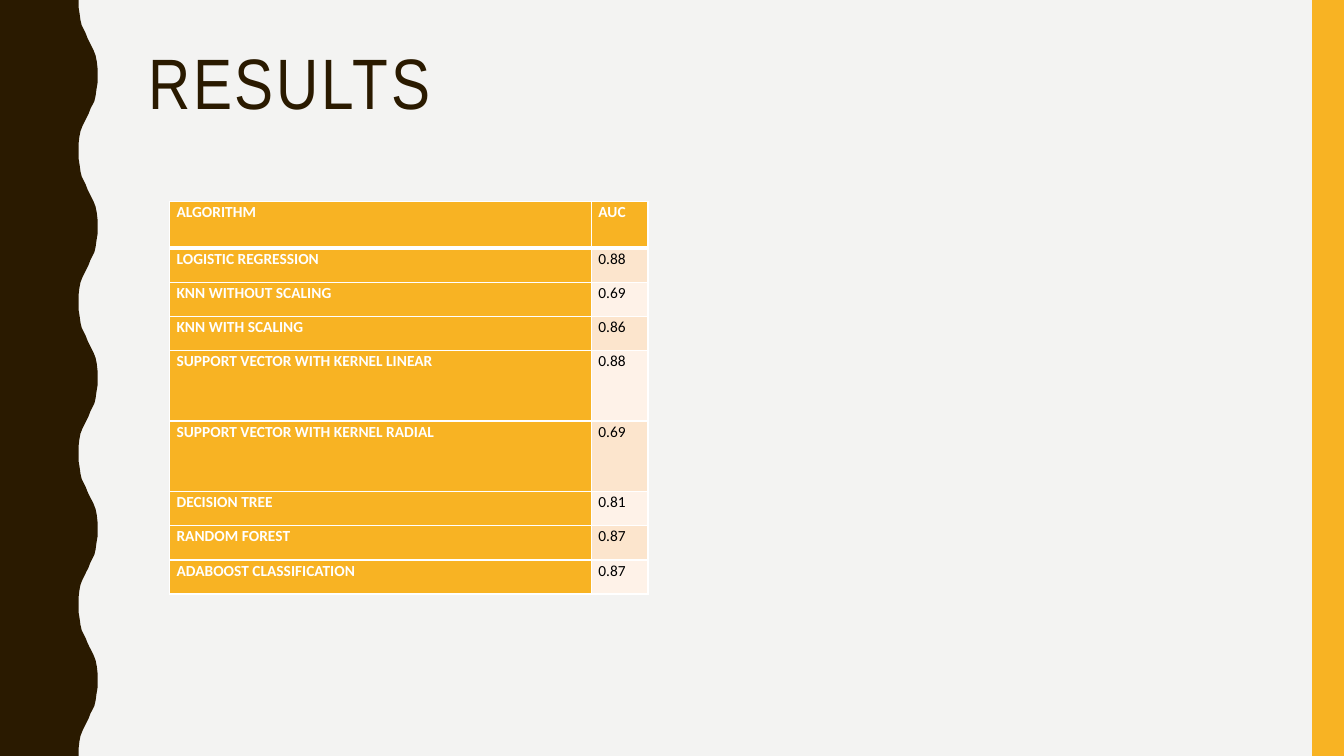
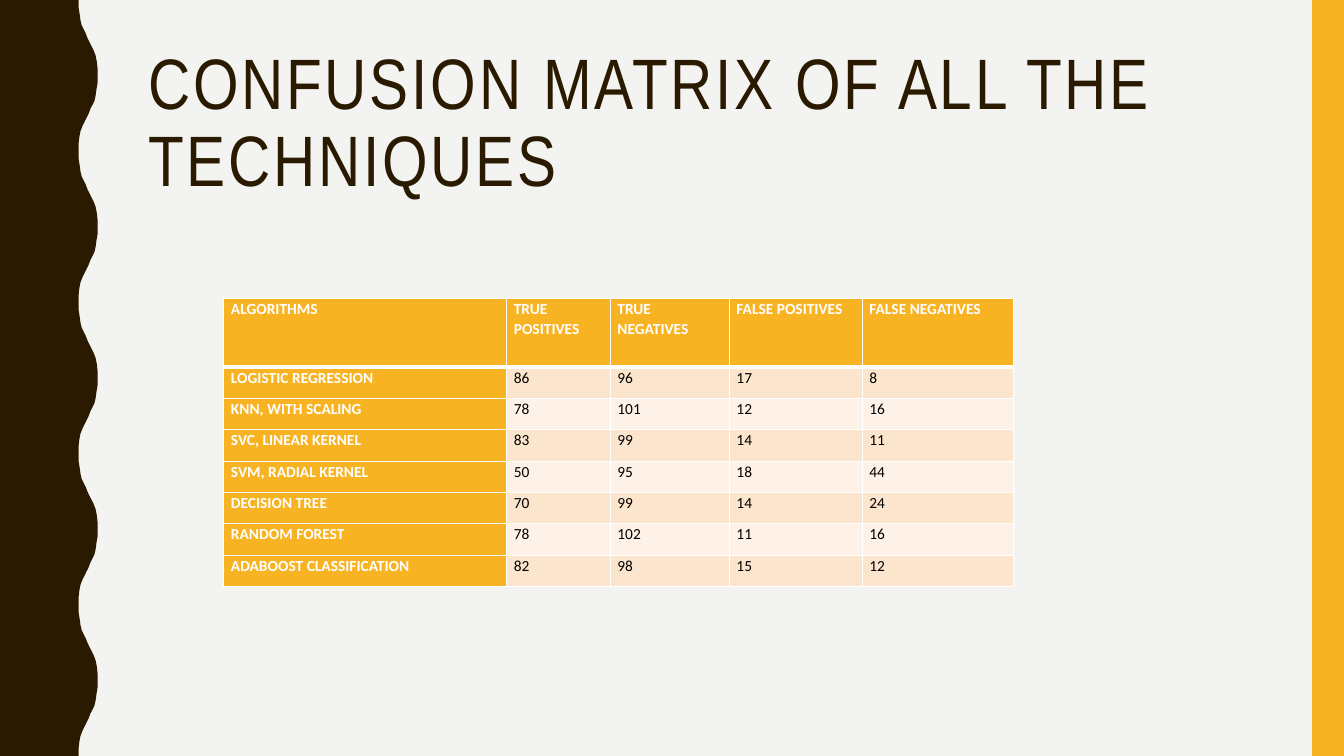
from pptx import Presentation
from pptx.dml.color import RGBColor
from pptx.enum import shapes, text
from pptx.oxml import parse_xml
from pptx.oxml.ns import nsdecls
from pptx.util import Cm, Pt

# Colours
BROWN = RGBColor(0x2A, 0x1A, 0x00)
AMBER = RGBColor(0xF8, 0xB3, 0x23)
PAPER = RGBColor(0xF3, 0xF3, 0xF2)
PEACH = RGBColor(0xFC, 0xE5, 0xCD)
CREAM = RGBColor(0xFE, 0xF2, 0xE8)
WHITE = RGBColor(0xFF, 0xFF, 0xFF)
BLACK = RGBColor(0x00, 0x00, 0x00)

# Text formats
TITLE_FONT = {"name": "Arial Narrow", "size": Pt(51), "bold": False}
CELL_FONT = {"name": "Calibri", "size": Pt(11)}

# Page and wavy edge, in cm
WIDTH, HEIGHT = 33.87, 19.05
BAND_WIDTH = 0.8
WAVES = 5
PERIOD = HEIGHT / WAVES
TROUGH, CREST = 1.98, 2.46
# Half a wave: steps right and down from a trough to the next crest
HALF_WAVE = [(0, 0.18), (0.03, 0.36), (0.05, 0.51), (0.08, 0.64), (0.13, 0.74),
             (0.18, 0.84), (0.23, 0.97), (0.28, 1.07), (0.33, 1.17),
             (0.38, 1.27), (0.43, 1.4), (0.46, 1.55), (0.48, 1.73),
             (0.48, PERIOD / 2)]

# Table contents
AUC_ROWS = [
    ("ALGORITHM", "AUC"),
    ("LOGISTIC REGRESSION", "0.88"),
    ("KNN WITHOUT SCALING", "0.69"),
    ("KNN WITH SCALING", "0.86"),
    ("SUPPORT VECTOR WITH KERNEL LINEAR", "0.88"),
    ("SUPPORT VECTOR WITH KERNEL RADIAL", "0.69"),
    ("DECISION TREE", "0.81"),
    ("RANDOM FOREST", "0.87"),
    ("ADABOOST CLASSIFICATION", "0.87"),
]
MATRIX_ROWS = [
    ("ALGORITHMS", "TRUE POSITIVES", "TRUE NEGATIVES", "FALSE POSITIVES",
     "FALSE NEGATIVES"),
    ("LOGISTIC REGRESSION", 86, 96, 17, 8),
    ("KNN, WITH SCALING", 78, 101, 12, 16),
    ("SVC, LINEAR KERNEL", 83, 99, 14, 11),
    ("SVM, RADIAL KERNEL", 50, 95, 18, 44),
    ("DECISION TREE", 70, 99, 14, 24),
    ("RANDOM FOREST", 78, 102, 11, 16),
    ("ADABOOST CLASSIFICATION", 82, 98, 15, 12),
]


def set_font(font, formats, color):
    for name, value in formats.items():
        setattr(font, name, value)
    font.color.rgb = color


def paint(shape, color):
    shape.shadow.inherit = False
    shape.fill.solid()
    shape.fill.fore_color.rgb = color
    shape.line.fill.background()


def wave_points():
    points = [(TROUGH, 0)]
    for i in range(WAVES):
        top = i * PERIOD
        points += [(TROUGH + dx, top + dy) for dx, dy in HALF_WAVE]
        points += [(CREST - dx, top + PERIOD / 2 + dy) for dx, dy in HALF_WAVE]
    return points + [(0, HEIGHT)]


def decorate_layout(layout, s):
    """Give the layout its background, wavy edge and band, drawn by way of s."""
    layout.background.fill.solid()
    layout.background.fill.fore_color.rgb = PAPER
    builder = s.shapes.build_freeform(0, 0, scale=1.0)
    builder.add_line_segments([(Cm(x), Cm(y)) for x, y in wave_points()])
    edge = builder.convert_to_shape()
    band = s.shapes.add_shape(shapes.MSO_SHAPE.RECTANGLE, Cm(WIDTH - BAND_WIDTH),
                              0, Cm(BAND_WIDTH), Cm(HEIGHT))
    for position, (shape, color) in enumerate([(edge, BROWN), (band, AMBER)], 2):
        paint(shape, color)
        layout.shapes.element.insert(position, shape.element)


def add_title(s, wording, height):
    title = s.shapes.title
    title.left, title.top = Cm(3.48), Cm(1.07)
    title.width, title.height = Cm(28.27), Cm(height)
    tf = title.text_frame
    tf.word_wrap = True
    tf.auto_size = text.MSO_AUTO_SIZE.NONE
    tf.vertical_anchor = text.MSO_ANCHOR.TOP
    p = tf.paragraphs[0]
    p.alignment = text.PP_ALIGN.LEFT
    p.line_spacing = 0.9
    r = p.add_run()
    r.text = wording
    set_font(r.font, TITLE_FONT, BROWN)
    r.font._element.set("spc", "200")


def add_borders(cell, **widths):
    tc_pr = cell._tc.get_or_add_tcPr()
    for side in "LRTB":
        tc_pr.append(parse_xml(
            f'<a:ln{side} {nsdecls("a")} w="{Pt(widths.get(side, 1))}">'
            f'<a:solidFill><a:srgbClr val="{WHITE}"/></a:solidFill></a:ln{side}>'))


def format_cell(cell, value, row, col):
    is_heading = row == 0 or col == 0
    # The rule under the header row is thicker than the others
    add_borders(cell, **{0: {"B": 3}, 1: {"T": 3}}.get(row, {}))
    cell.fill.solid()
    cell.fill.fore_color.rgb = AMBER if is_heading else (CREAM, PEACH)[row % 2]
    cell.margin_left = cell.margin_right = Cm(0.18)
    cell.margin_top = cell.margin_bottom = 0
    p = cell.text_frame.paragraphs[0]
    p.line_spacing = 1.07
    r = p.add_run()
    r.text = str(value)
    set_font(r.font, {**CELL_FONT, "bold": is_heading},
             WHITE if is_heading else BLACK)


def add_data_table(s, left, top, widths, heights, rows):
    table = s.shapes.add_table(len(rows), len(widths), Cm(left), Cm(top),
                               Cm(sum(widths)), Cm(sum(heights))).table
    for column, width in zip(table.columns, widths):
        column.width = Cm(width)
    for i, (height, values) in enumerate(zip(heights, rows)):
        table.rows[i].height = Cm(height)
        for j, value in enumerate(values):
            format_cell(table.cell(i, j), value, i, j)


def main():
    prs = Presentation()
    prs.slide_width, prs.slide_height = Cm(WIDTH), Cm(HEIGHT)
    layout = prs.slide_layouts[5]

    # AUC of each algorithm
    s = prs.slides.add_slide(layout)
    decorate_layout(layout, s)
    add_title(s, "RESULTS", 3.15)
    add_data_table(s, 4.27, 5.08, [10.63, 1.43],
                   [1.17] + [0.86] * 3 + [1.78] * 2 + [0.86] * 3, AUC_ROWS)

    # Confusion matrix
    s = prs.slides.add_slide(layout)
    add_title(s, "CONFUSION MATRIX OF ALL THE TECHNIQUES", 4.14)
    add_data_table(s, 5.64, 7.52, [7.13, 2.61, 3, 3.35, 3.81],
                   [1.73] + [0.79] * 7, MATRIX_ROWS)

    prs.save("out.pptx")


if __name__ == "__main__":
    main()
